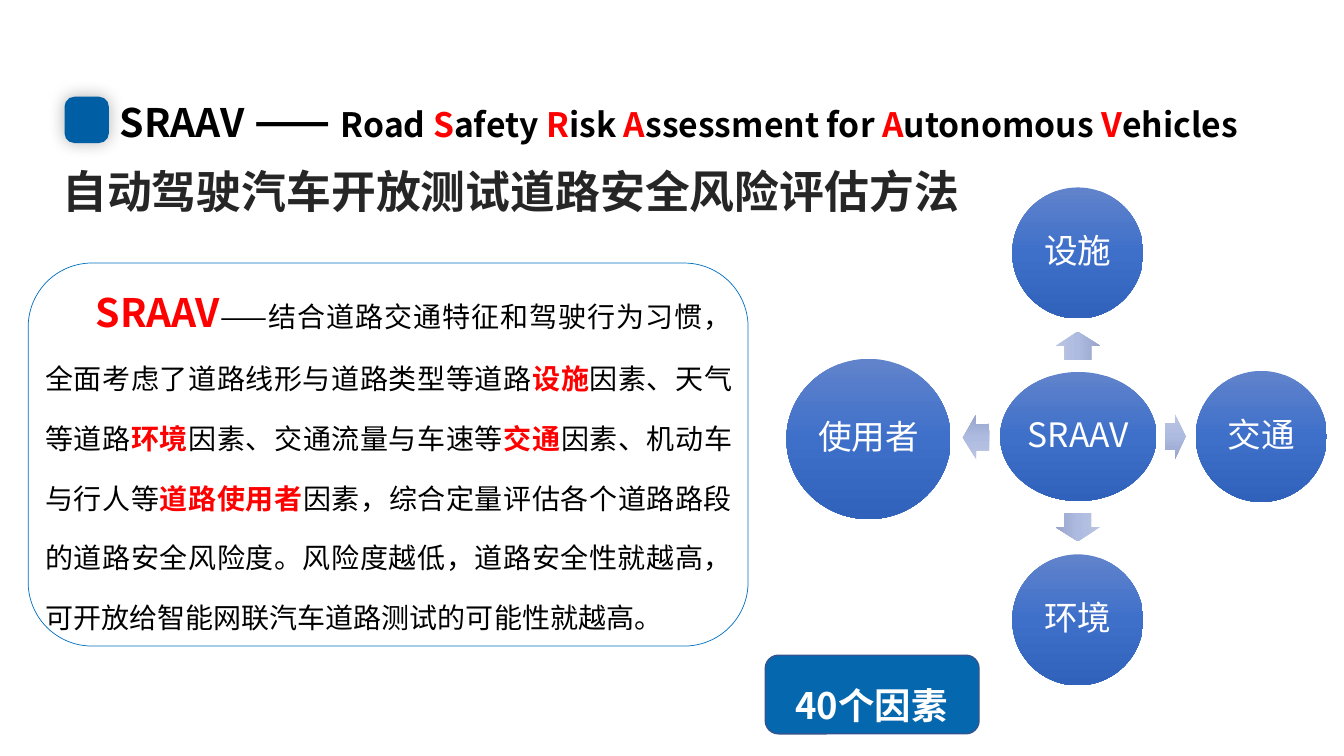
"""Build the SRAAV road safety risk assessment slide."""
import copy

import pptx
import pptx.dml.color
import pptx.enum.shapes
import pptx.enum.text
import pptx.oxml
import pptx.oxml.ns
import pptx.util
from pptx.util import Inches

FONT = "Noto Sans CJK SC"
COLORS = {
    "black": "000000",
    "red": "FF0000",
    "white": "FFFFFF",
    "title": "262626",
    "marker": "005EA4",
    "frame": "0070C0",
    "badge": "0567AE",
    "badge_line": "325491",
}
CIRCLE_GRADIENT = ("6183CB", "3E70CA", "3062BB")
ARROW_GRADIENT = ("BBC5E3", "AEBBE0", "98A4CB")
SHAPES = pptx.enum.shapes.MSO_SHAPE
ALIGN = pptx.enum.text.PP_ALIGN
ANCHOR = pptx.enum.text.MSO_ANCHOR


def rgb(name):
    """Return the named colour."""
    return pptx.dml.color.RGBColor.from_string(COLORS[name])


def style_font(font, size, color, bold=False):
    """Set size, colour, weight and both typefaces of a font."""
    font.size = pptx.util.Pt(size)
    font.bold = bold
    font.color.rgb = rgb(color)
    font.name = FONT
    latin = font._element.find(pptx.oxml.ns.qn("a:latin")) if hasattr(font, "_element") else font._rPr.find(
        pptx.oxml.ns.qn("a:latin"))
    east_asian = pptx.oxml.parse_xml(f'<a:ea {pptx.oxml.ns.nsdecls("a")} typeface="{FONT}"/>')
    latin.addnext(east_asian)


def add_shape(slide, kind, box, fill=None, line=None, line_width=1):
    """Add a preset shape with an optional solid fill and outline."""
    shape = slide.shapes.add_shape(kind, *map(Inches, box))
    shape.shadow.inherit = False
    if fill:
        shape.fill.solid()
        shape.fill.fore_color.rgb = rgb(fill)
    else:
        shape.fill.background()
    if line:
        shape.line.color.rgb = rgb(line)
        shape.line.width = pptx.util.Pt(line_width)
    else:
        shape.line.fill.background()
    return shape


def apply_gradient(shape, colors):
    """Fill a shape with evenly spaced stops running downwards."""
    shape.fill.gradient()
    shape.fill.gradient_angle = 270
    stop_list = shape.fill._xPr.find(".//" + pptx.oxml.ns.qn("a:gsLst"))
    stop_list.append(copy.deepcopy(stop_list[-1]))
    for index, (stop, color) in enumerate(zip(shape.fill.gradient_stops, colors)):
        stop.position = index / (len(colors) - 1)
        stop.color.rgb = pptx.dml.color.RGBColor.from_string(color)


def add_glow_shadow(shape):
    """Give a shape a soft centred shadow."""
    effects = shape._element.spPr.find(pptx.oxml.ns.qn("a:effectLst"))
    effects.append(pptx.oxml.parse_xml(
        f'<a:outerShdw {pptx.oxml.ns.nsdecls("a")} blurRad="152400" dist="0" dir="0" '
        'algn="ctr" rotWithShape="0"><a:srgbClr val="000000">'
        '<a:alpha val="30000"/></a:srgbClr></a:outerShdw>'))


def add_text(slide, box, anchor=ANCHOR.TOP):
    """Add a wrapping text box and return its first paragraph."""
    frame = slide.shapes.add_textbox(*map(Inches, box)).text_frame
    frame.word_wrap = True
    frame.vertical_anchor = anchor
    return frame.paragraphs[0]


def add_run(paragraph, text, size, color="black", bold=False):
    """Append a styled run to a paragraph."""
    run = paragraph.add_run()
    run.text = text
    style_font(run.font, size, color, bold)


def add_circle(slide, label, box):
    """Add a gradient circle with a centred label."""
    circle = add_shape(slide, SHAPES.OVAL, box)
    apply_gradient(circle, CIRCLE_GRADIENT)
    frame = circle.text_frame
    frame.margin_left = frame.margin_right = Inches(0.03)
    frame.margin_top = frame.margin_bottom = Inches(0.03)
    frame.word_wrap = False
    frame.vertical_anchor = ANCHOR.MIDDLE
    paragraph = frame.paragraphs[0]
    paragraph.text = label
    paragraph.alignment = ALIGN.CENTER
    paragraph.line_spacing = 0.9
    style_font(paragraph.font, 24, "white")


def add_arrow(slide, box, rotation):
    """Add a gradient block arrow."""
    arrow = add_shape(slide, SHAPES.RIGHT_ARROW, box)
    arrow.adjustments[0] = 0.6
    arrow.adjustments[1] = 0.5
    arrow.rotation = rotation
    apply_gradient(arrow, ARROW_GRADIENT)


def add_heading(slide):
    """Add the marker, the spelled-out acronym and the title."""
    marker = add_shape(slide, SHAPES.ROUNDED_RECTANGLE, (0.64, 0.96, 0.44, 0.46), "marker")
    marker.adjustments[0] = 0.224
    add_glow_shadow(marker)
    paragraph = add_text(slide, (1.09, 0.87, 12.1, 0.63), ANCHOR.MIDDLE)
    add_run(paragraph, "SRAAV", 28, bold=True)
    add_run(paragraph, " —— ", 32, bold=True)
    add_run(paragraph, "Road ", 24, bold=True)
    for word in ("Safety ", "Risk ", "Assessment for ", "Autonomous ", "Vehicles"):
        add_run(paragraph, word[0], 24, "red", True)
        add_run(paragraph, word[1:], 24, bold=True)
    title = add_text(slide, (0.52, 1.42, 11.32, 0.66))
    title.text = "自动驾驶汽车开放测试道路安全风险评估方法"
    title.line_spacing = 1.3
    style_font(title.font, 32, "title", True)


def add_diagram(slide):
    """Add the hub, its four factor circles and the arrows between."""
    circles = (
        ("SRAAV", (9.92, 3.69, 1.55, 1.28)),
        ("设施", (10.04, 1.86, 1.3, 1.3)),
        ("交通", (11.86, 3.68, 1.3, 1.3)),
        ("环境", (10.04, 5.5, 1.3, 1.3)),
        ("使用者", (7.8, 3.56, 1.63, 1.59)),
    )
    arrows = (
        ((10.55, 3.21, 0.28, 0.44), 270),
        ((11.55, 4.11, 0.21, 0.44), 0),
        ((10.55, 5.01, 0.28, 0.44), 90),
        ((9.55, 4.12, 0.26, 0.44), 179.3),
    )
    for label, box in circles:
        add_circle(slide, label, box)
    for box, rotation in arrows:
        add_arrow(slide, box, rotation)


def add_description(slide):
    """Add the paragraph with its key factors in red."""
    paragraph = add_text(slide, (0.35, 2.69, 7.01, 4.2))
    paragraph.alignment = ALIGN.JUSTIFY
    paragraph.line_spacing = pptx.util.Pt(42.6)
    paragraph._p.get_or_add_pPr().set("indent", str(Inches(0.5)))
    add_run(paragraph, "SRAAV", 28, "red", True)
    passages = (
        ("——结合道路交通特征和驾驶行为习惯，全面考虑了道路线形与道路类型等道路", "设施"),
        ("因素、天气等道路", "环境"),
        ("因素、交通流量与车速等", "交通"),
        ("因素、机动车与行人等", "道路使用者"),
    )
    for text, factor in passages:
        add_run(paragraph, text, 20)
        add_run(paragraph, factor, 20, "red", True)
    add_run(paragraph, "因素，综合定量评估各个道路路段的道路安全风险度。风险度越低，道路安全性就越高，"
            "可开放给智能网联汽车道路测试的可能性就越高。", 20)


def main():
    """Build and save the slide."""
    presentation = pptx.Presentation()
    presentation.slide_width = Inches(13.33)
    presentation.slide_height = Inches(7.5)
    slide = presentation.slides.add_slide(presentation.slide_layouts[6])
    add_shape(slide, SHAPES.ROUNDED_RECTANGLE, (0.28, 2.61, 7.14, 3.8), line="frame", line_width=0.5)
    add_heading(slide)
    add_diagram(slide)
    add_description(slide)
    add_shape(slide, SHAPES.ROUNDED_RECTANGLE, (7.59, 6.5, 2.12, 0.78), "badge", "badge_line")
    badge = add_text(slide, (7.35, 6.51, 2.59, 0.68))
    badge.text = "40个因素"
    badge.alignment = ALIGN.CENTER
    badge.line_spacing = 1.5
    style_font(badge.font, 26, "white", True)
    presentation.save("out.pptx")


if __name__ == "__main__":
    main()
